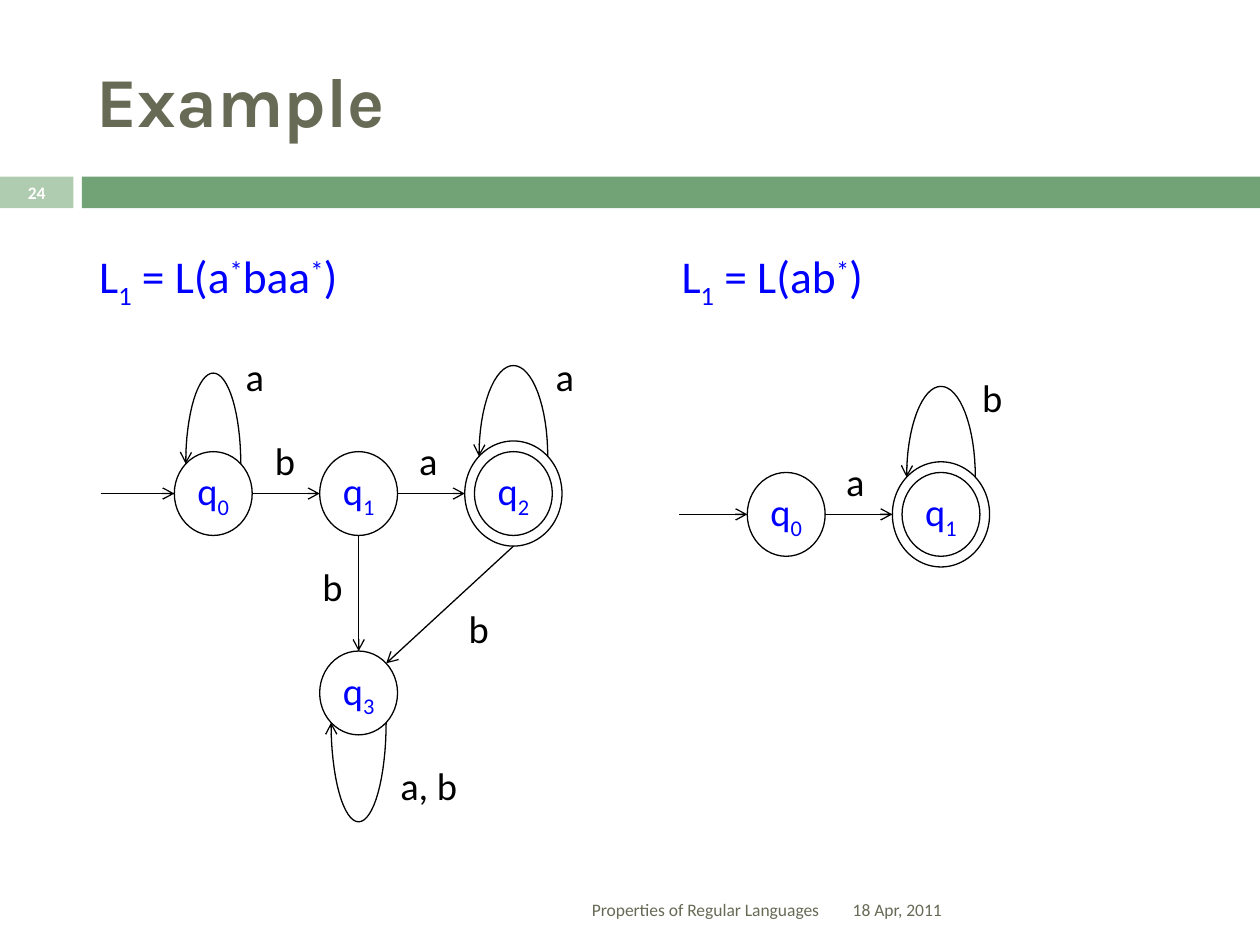
import math

import lxml.etree
import pptx
import pptx.dml.color
import pptx.enum.shapes
import pptx.enum.text
import pptx.oxml.ns
import pptx.util

Cm = pptx.util.Cm
Pt = pptx.util.Pt
qn = pptx.oxml.ns.qn
ALIGN = pptx.enum.text.PP_ALIGN
ANCHOR = pptx.enum.text.MSO_ANCHOR
SHAPES = pptx.enum.shapes.MSO_SHAPE

TITLE = "Example"
BARS = [((0, 3.56, 1.48, 0.64), "pale"), ((1.65, 3.56, 23.75, 0.64), "green")]
CAPTIONS = [
    ((16.94, 17.83, 7.42, 1.02), "18 Apr, 2011", ALIGN.LEFT, "footer"),
    ((1.7, 17.83, 15.06, 1.02), "Properties of Regular Languages", ALIGN.RIGHT, "footer"),
    ((0, 3.53, 1.48, 0.69), "24", ALIGN.CENTER, "number"),
]
SUB, SUP = -25, 30
AUTOMATA = [
    {
        "formula": [("L", 0), ("1", SUB), (" = L(a", 0), ("*", SUP), ("baa", 0), ("*", SUP), (")", 0)],
        "formula_at": (1.75, 4.88),
        "states": {"0": (4.3, 9.95), "1": (7.23, 9.95), "2": (10.35, 9.95), "3": (7.23, 13.97)},
        "accepting": "2",
        "start_x": 2.03,
        "edges": [("0", 0, "1", 180), ("1", 0, "2", 180), ("1", 90, "3", -90), ("2", 90, "3", -45)],
        "loops": [("0", -1.83), ("2", -1.83), ("3", 2)],
        "labels": [("a", 4.7, 6.99), ("b", 5.29, 8.68), ("a", 8.2, 8.68), ("a", 10.95, 6.99),
                   ("b", 6.25, 11.22), ("b", 9.2, 12.07), ("a, b", 7.82, 15.24)],
    },
    {
        "formula": [("L", 0), ("1", SUB), (" = L(ab", 0), ("*", SUP), (")", 0)],
        "formula_at": (13.49, 4.88),
        "states": {"0": (15.85, 10.37), "1": (18.97, 10.37)},
        "accepting": "1",
        "start_x": 13.69,
        "edges": [("0", 0, "1", 180)],
        "loops": [("1", -1.83)],
        "labels": [("a", 16.81, 9.1), ("b", 19.55, 7.41)],
    },
]

THEME = {
    "colors": {"pale": "B0CCB0", "green": "72A376", "line": "000000"},
    "line_width": 0.75,
    "fonts": {
        "title": {"name": "Karla", "size": 40, "bold": True, "color": "676A55"},
        "formula": {"name": "Calibri", "size": 26, "bold": False, "color": "0000FF"},
        "state": {"name": "Calibri", "size": 22, "bold": False, "color": "0000FF"},
        "label": {"name": "Calibri", "size": 22, "bold": False, "color": "000000"},
        "footer": {"name": "Calibri", "size": 10, "bold": False, "color": "676A55"},
        "number": {"name": "Calibri", "size": 10, "bold": True, "color": "FFFFFF"},
    },
}
STATE_SIZE = (1.57, 1.69)
RING_SIZE = (1.96, 2.12)
LOOP_STEPS = 32


def rgb(value):
    return pptx.dml.color.RGBColor.from_string(value)


def write(holder, runs, style, align=ALIGN.LEFT, anchor=ANCHOR.TOP, wrap=True):
    frame = holder.text_frame
    for name, value in {"word_wrap": wrap, "vertical_anchor": anchor}.items():
        setattr(frame, name, value)
    line = frame.paragraphs[0]
    line.alignment = align
    look = dict(THEME["fonts"][style])
    color = rgb(look.pop("color"))
    look["size"] = Pt(look["size"])
    for words, baseline in runs:
        run = line.add_run()
        run.text = words
        for name, value in look.items():
            setattr(run.font, name, value)
        run.font.color.rgb = color
        if baseline:
            run.font._element.set("baseline", str(baseline * 1000))


def add_text(slide, box, runs, style, **layout):
    write(slide.shapes.add_textbox(*map(Cm, box)), runs, style, **layout)


def draw_line(stroke, arrow=False):
    stroke.line.color.rgb = rgb(THEME["colors"]["line"])
    stroke.line.width = Pt(THEME["line_width"])
    if arrow:
        tail = lxml.etree.SubElement(stroke.line._get_or_add_ln(), qn("a:tailEnd"))
        tail.set("type", "arrow")


def add_arrow(slide, start, end):
    arrow = slide.shapes.add_connector(
        pptx.enum.shapes.MSO_CONNECTOR.STRAIGHT, *map(Cm, start + end))
    draw_line(arrow, arrow=True)
    lxml.etree.SubElement(arrow._element.spPr, qn("a:effectLst"))


def add_ellipse(slide, center, size):
    corner = [middle - length / 2 for middle, length in zip(center, size)]
    ellipse = slide.shapes.add_shape(SHAPES.OVAL, *map(Cm, corner), *map(Cm, size))
    ellipse.shadow.inherit = False
    ellipse.fill.background()
    draw_line(ellipse)
    return ellipse


def add_loop(slide, start, end, height):
    middle, radius = (start[0] + end[0]) / 2, (start[0] - end[0]) / 2
    angles = [math.pi * step / LOOP_STEPS for step in range(LOOP_STEPS + 1)]
    points = [(Cm(middle + radius * math.cos(angle)), Cm(start[1] + height * math.sin(angle)))
              for angle in angles]
    builder = slide.shapes.build_freeform(*points[0])
    builder.add_line_segments(points[1:], close=False)
    loop = builder.convert_to_shape()
    loop.shadow.inherit = False
    loop.fill.background()
    draw_line(loop, arrow=True)


def add_automaton(slide, automaton):
    states, accepting = automaton["states"], automaton["accepting"]

    def rim(state, degrees):
        size = RING_SIZE if state == accepting else STATE_SIZE
        angle = math.radians(degrees)
        (x, y), (width, height) = states[state], size
        return x + width / 2 * math.cos(angle), y + height / 2 * math.sin(angle)

    add_text(slide, automaton["formula_at"] + (6.07, 1.35), automaton["formula"], "formula")
    for state, center in states.items():
        write(add_ellipse(slide, center, STATE_SIZE), [("q", 0), (state, SUB)], "state",
              align=ALIGN.CENTER, anchor=ANCHOR.MIDDLE, wrap=False)
    add_ellipse(slide, states[accepting], RING_SIZE)
    add_arrow(slide, (automaton["start_x"], states["0"][1]), rim("0", 180))
    for source, leaving, target, entering in automaton["edges"]:
        add_arrow(slide, rim(source, leaving), rim(target, entering))
    for state, height in automaton["loops"]:
        side = math.copysign(1, height)
        add_loop(slide, rim(state, 45 * side), rim(state, 135 * side), height)
    for symbol, left, top in automaton["labels"]:
        width = 1.8 if len(symbol) > 1 else 0.97
        add_text(slide, (left, top, width, 1.19), [(symbol, 0)], "label")


def main():
    deck = pptx.Presentation()
    deck.slide_width, deck.slide_height = Cm(25.4), Cm(19.05)
    slide = deck.slides.add_slide(deck.slide_layouts[5])

    for box, color in BARS:
        bar = slide.shapes.add_shape(SHAPES.RECTANGLE, *map(Cm, box))
        bar.shadow.inherit = False
        bar.fill.solid()
        bar.fill.fore_color.rgb = rgb(THEME["colors"][color])
        bar.line.fill.background()

    title = slide.shapes.title
    frame = {"left": 1.7, "top": 0.64, "width": 22.65, "height": 2.74}
    for name, value in frame.items():
        setattr(title, name, Cm(value))
    write(title, [(TITLE, 0)], "title", anchor=ANCHOR.MIDDLE)

    for box, words, align, style in CAPTIONS:
        add_text(slide, box, [(words, 0)], style, align=align, anchor=ANCHOR.MIDDLE)
    for automaton in AUTOMATA:
        add_automaton(slide, automaton)

    deck.save("out.pptx")


if __name__ == "__main__":
    main()
